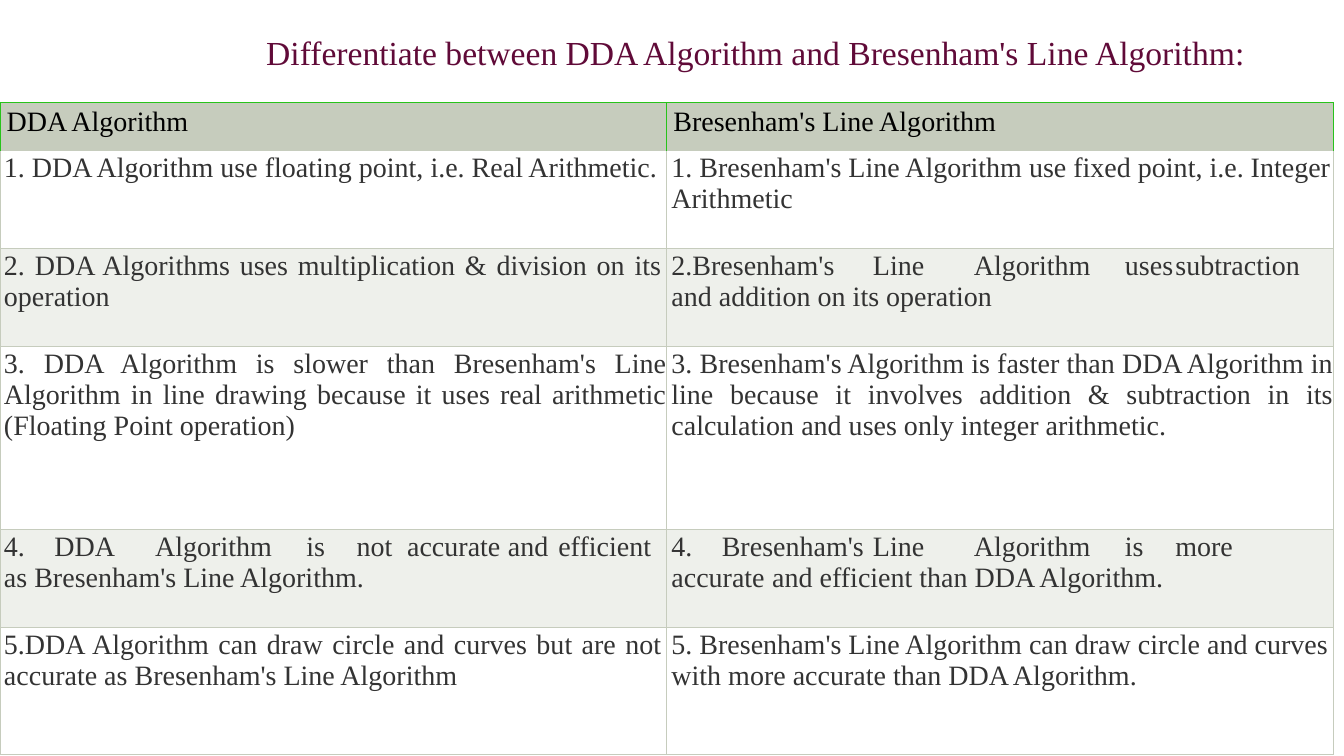
from dataclasses import dataclass
from typing import Any

from lxml.etree import SubElement
from pptx import Presentation
from pptx.dml.color import RGBColor
from pptx.enum.text import MSO_ANCHOR, PP_ALIGN
from pptx.oxml.ns import qn
from pptx.util import Cm, Pt

WHITE = RGBColor(0xFF, 0xFF, 0xFF)
BLACK = RGBColor(0x00, 0x00, 0x00)
GREY = RGBColor(0x33, 0x33, 0x33)
SAGE = RGBColor(0xC6, 0xCC, 0xBD)
PALE = RGBColor(0xEE, 0xF0, 0xEB)
GREEN = RGBColor(0x28, 0xC3, 0x1B)
PLUM = RGBColor(0x60, 0x0A, 0x38)

FONT = "Times New Roman"
TOP = 2.59
WIDTH = 16.8
LEFT = PP_ALIGN.LEFT
FLUSH = PP_ALIGN.JUSTIFY
FRAME = {"margin_left": 0, "margin_right": 0, "margin_bottom": 0}


@dataclass
class Entry:
    text: str
    align: PP_ALIGN = LEFT
    right: float = 0
    tabs: tuple[float, ...] = ()


@dataclass
class Row:
    height: float
    inset: float
    fill: RGBColor
    cells: tuple[Entry, Entry]


ROWS = [
    Row(1.22, 0.1, SAGE, (
        Entry("DDA Algorithm"),
        Entry("Bresenham's Line Algorithm"))),
    Row(2.46, 0.03, WHITE, (
        Entry("1. DDA Algorithm use floating point, i.e. Real Arithmetic."),
        Entry("1. Bresenham's Line Algorithm use fixed point, i.e. Integer Arithmetic"))),
    Row(2.46, 0.05, PALE, (
        Entry("2. DDA Algorithms uses multiplication & division on its operation", FLUSH, 0.12),
        Entry("2.Bresenham's\tLine\tAlgorithm\tuses\tsubtraction\tand addition on its operation",
              LEFT, 0.12, (4.8, 6.68, 10.19, 11.96, 15.67)))),
    Row(4.62, 0.05, WHITE, (
        Entry("3. DDA Algorithm is slower than Bresenham's Line Algorithm in line drawing "
              "because it uses real arithmetic (Floating Point operation)", FLUSH),
        Entry("3. Bresenham's Algorithm is faster than DDA Algorithm in line because it "
              "involves addition & subtraction in its calculation and uses only integer "
              "arithmetic.", FLUSH))),
    Row(2.46, 0.05, PALE, (
        Entry("4.\tDDA\tAlgorithm\tis\tnot\taccurate\tand\tefficient\t"
              "as Bresenham's Line Algorithm.",
              LEFT, 0.12, (1.14, 3.12, 6.55, 7.52, 8.92, 11.76, 13.26, 16.1)),
        Entry("4.\tBresenham's\tLine\tAlgorithm\tis\tmore\taccurate\t"
              "and efficient than DDA Algorithm.",
              LEFT, 0.12, (1.07, 5.08, 6.78, 10.13, 11.02, 12.9, 15.67)))),
    Row(3.2, 0.05, WHITE, (
        Entry("5.DDA Algorithm can draw circle and curves but are not accurate as "
              "Bresenham's Line Algorithm", FLUSH, 0.12),
        Entry("5. Bresenham's Line Algorithm can draw circle and curves with more "
              "accurate than DDA Algorithm."))),
]


def apply(item: Any, look: dict[str, Any]) -> None:
    for name, value in look.items():
        setattr(item, name, value)


def write(frame: Any, entry: Entry, indent: float, size: int, tint: RGBColor) -> None:
    para = frame.paragraphs[0]
    props = para._p.get_or_add_pPr()
    props.set("marL", str(Cm(indent)))
    props.set("marR", str(Cm(entry.right)))
    props.set("indent", "0")
    if entry.tabs:
        stops = SubElement(props, qn("a:tabLst"))
        for stop in entry.tabs:
            SubElement(stops, qn("a:tab"), pos=str(Cm(stop)), algn="l")
    para.alignment = entry.align
    run = para.add_run()
    run.text = entry.text
    apply(run.font, {"name": FONT, "size": Pt(size), "bold": False})
    run.font.color.rgb = tint


def edge(cell: Any, side: str, tint: RGBColor | None) -> None:
    props = cell._tc.get_or_add_tcPr()
    line = SubElement(props, qn(f"a:ln{side}"), w=str(Pt(0.75)))
    if tint is None:
        SubElement(line, qn("a:noFill"))
    else:
        fill = SubElement(line, qn("a:solidFill"))
        SubElement(fill, qn("a:srgbClr"), val=str(tint))


def draw_cell(cell: Any, entry: Entry, row: Row, head: bool, first: bool) -> None:
    apply(cell, FRAME | {"margin_top": Cm(row.inset), "vertical_anchor": MSO_ANCHOR.TOP})
    tint = GREEN if head else SAGE
    bare = "B" if head else "T" if row is ROWS[1] else ""
    for side in "LRTB":
        edge(cell, side, None if side == bare else tint)
    cell.fill.solid()
    cell.fill.fore_color.rgb = row.fill
    indent = 0.17 if head else 0.1 if first else 0.12
    write(cell.text_frame, entry, indent, 20, BLACK if head else GREY)


def draw_table(slide: Any) -> None:
    total = sum(row.height for row in ROWS)
    table = slide.shapes.add_table(
        len(ROWS), 2, 0, Cm(TOP), Cm(2 * WIDTH), Cm(total)).table
    apply(table, {"first_row": False, "horz_banding": False})
    for column in table.columns:
        column.width = Cm(WIDTH)
    for i, row in enumerate(ROWS):
        table.rows[i].height = Cm(row.height)
        for j, entry in enumerate(row.cells):
            draw_cell(table.cell(i, j), entry, row, i == 0, j == 0)


def draw_title(slide: Any) -> None:
    box = slide.shapes.add_textbox(Cm(3.38), Cm(0.76), Cm(28.78), Cm(1.07))
    frame = box.text_frame
    apply(frame, FRAME | {"margin_top": Cm(0.03), "word_wrap": True,
                          "vertical_anchor": MSO_ANCHOR.MIDDLE})
    title = Entry("Differentiate between DDA Algorithm and Bresenham's Line Algorithm:",
                  PP_ALIGN.CENTER)
    write(frame, title, 2.54, 24, PLUM)


def main() -> None:
    deck = Presentation()
    apply(deck, {"slide_width": Cm(33.87), "slide_height": Cm(19.05)})
    slide = deck.slides.add_slide(deck.slide_layouts[6])
    draw_table(slide)
    draw_title(slide)
    deck.save("out.pptx")


if __name__ == "__main__":
    main()
